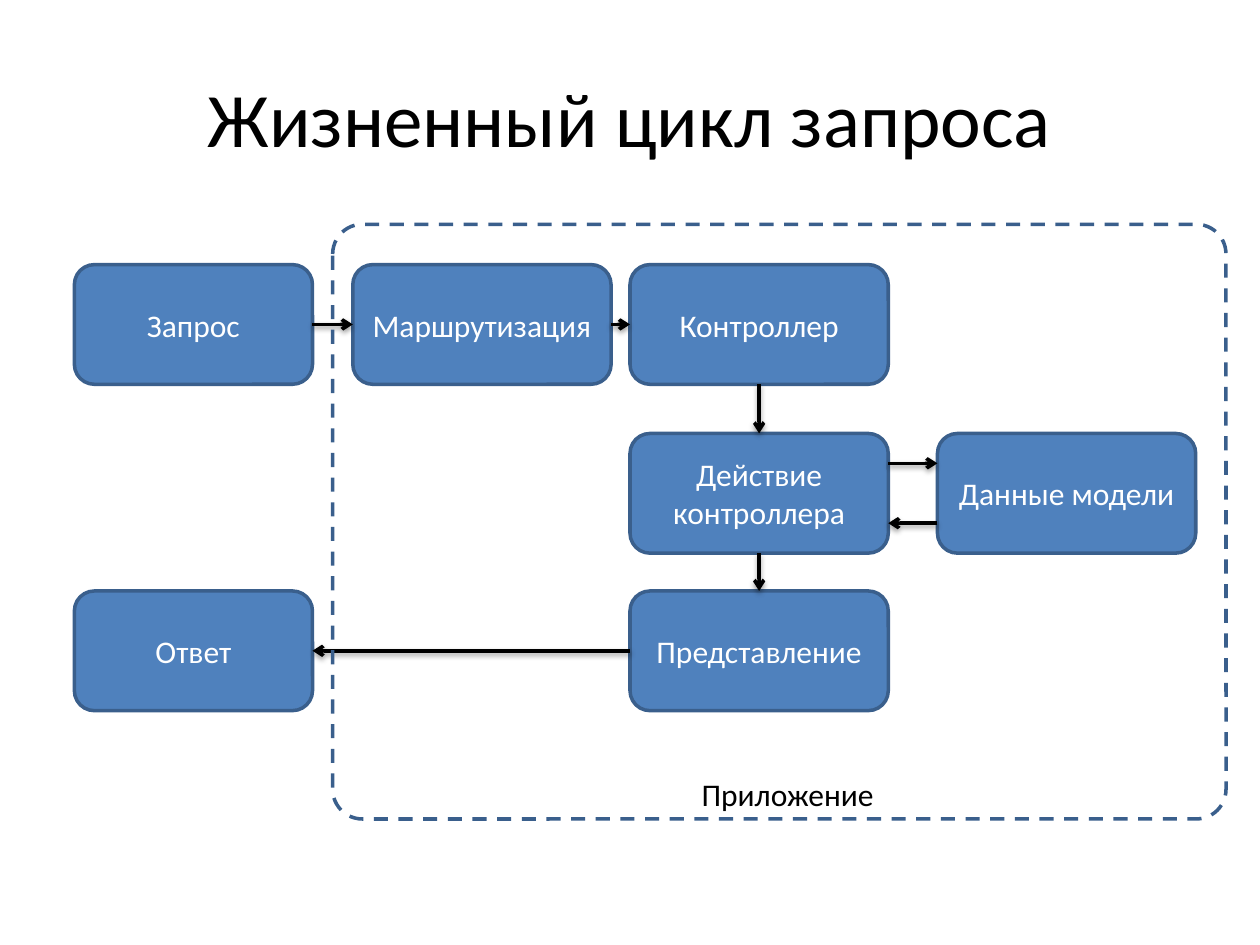
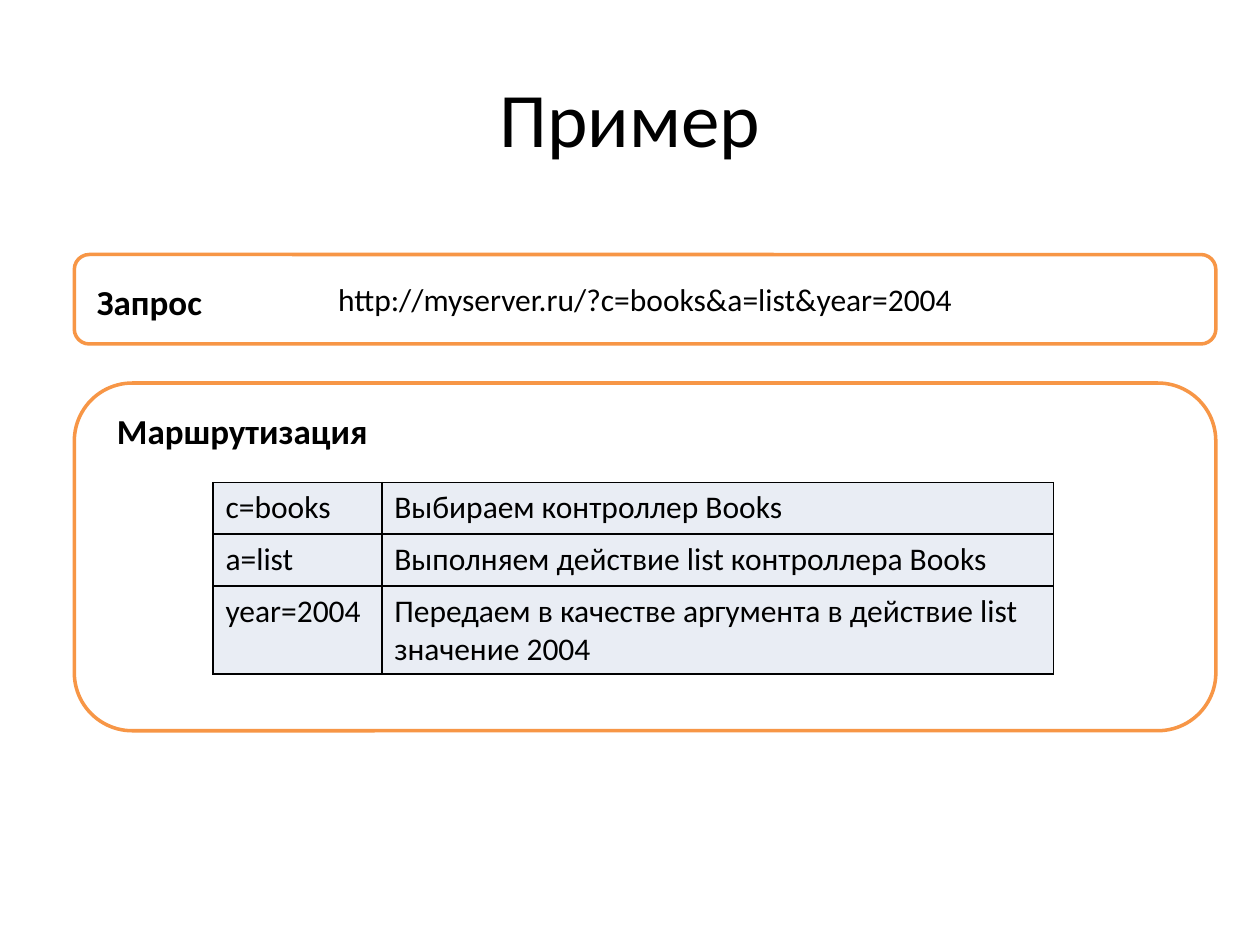
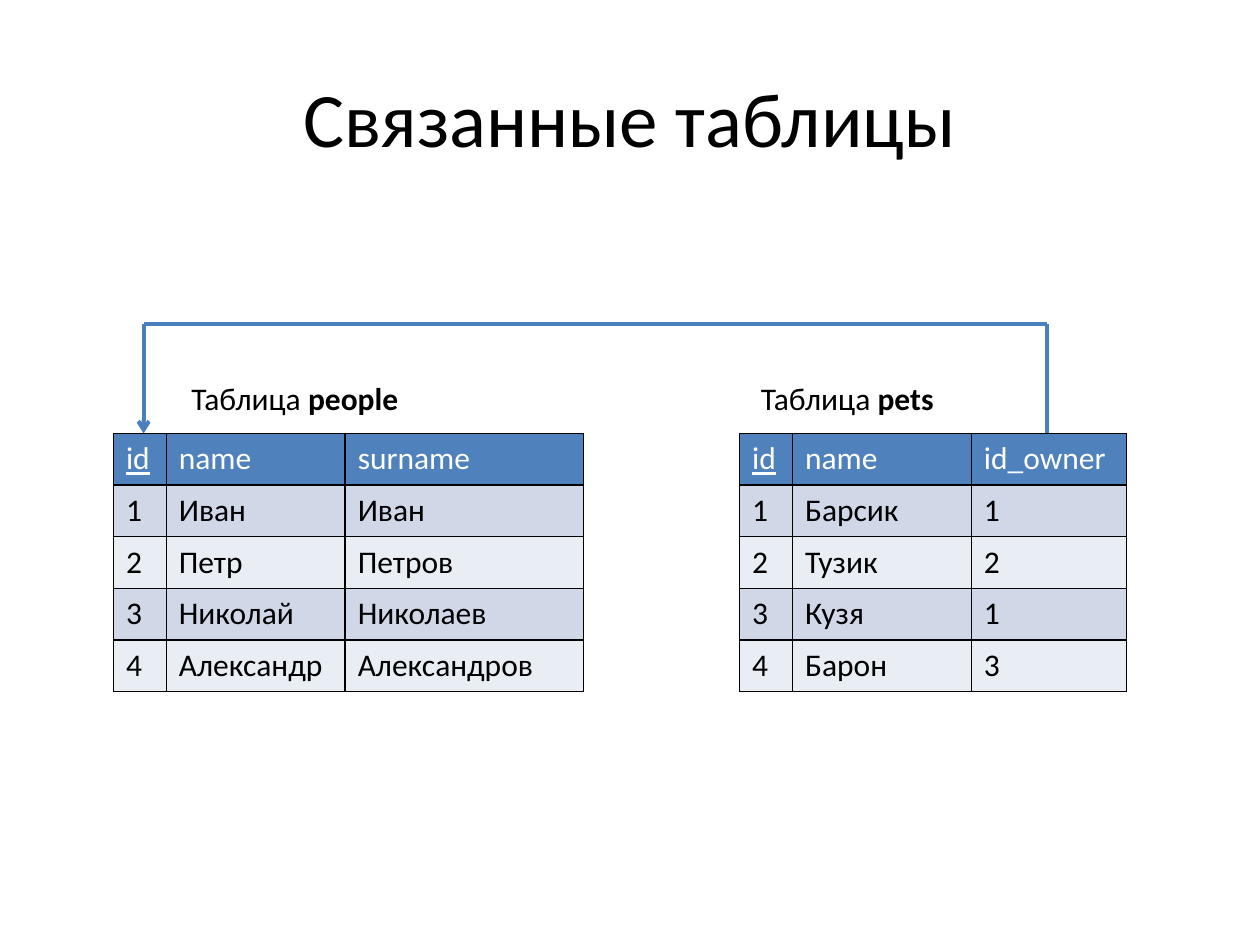
from dataclasses import dataclass
from lxml.etree import SubElement as Sub
from pptx import Presentation
from pptx.dml.color import RGBColor as Rgb
from pptx.enum.dml import MSO_LINE as Dash
from pptx.enum.shapes import MSO_CONNECTOR as Wire, MSO_SHAPE as Kind
from pptx.enum.text import MSO_ANCHOR as Anchor, PP_ALIGN as Align
from pptx.oxml.ns import qn
from pptx.util import Inches, Pt


@dataclass(frozen=True)
class Theme:
    """Colours, font and type sizes of the deck."""
    font: str = "Calibri"
    black: str = "000000"
    white: str = "FFFFFF"
    blue: str = "4F81BD"
    edge: str = "3A5F8C"
    wire: str = "4B7EBC"
    orange: str = "F79646"
    dark: str = "D0D8E8"
    light: str = "E9EDF4"
    title: int = 44
    head: int = 20
    body: int = 18
    stroke: int = 2


T = Theme()
WIDE, HIGH = 10, 7.5
COLS = ((0.59, 1.89), (2.8, 2.05), (5, 2.05), (7.44, 2.05))
ROWS = (2.1, 3.44, 4.69)
TALL = 0.95
LEFT, BAND = 0.59, 9.06
LINE = 0.41
TOP = 3.44
RAIL = 2.57


def area(*spans):
    """Turn a left, top, width and height in inches into lengths."""
    return [Inches(span) for span in spans]


def style(run, size=T.body, tint=T.black, bold=False, under=False):
    """Format one run."""
    font = run.font
    font.name, font.size, font.bold = T.font, Pt(size), bold
    font.underline = under
    font.color.rgb = Rgb.from_string(tint)


def write(frame, text, align=Align.LEFT, **look):
    """Set the text of a frame in one style."""
    frame.text = text
    para = frame.paragraphs[0]
    para.alignment = align
    for run in para.runs:
        style(run, **look)


def label(slide, spot, text, wrap=True, **look):
    """Add a text box and return its frame."""
    frame = slide.shapes.add_textbox(*area(*spot)).text_frame
    frame.word_wrap = wrap
    write(frame, text, **look)
    return frame


def page(deck, title):
    """Add a blank slide with a centred title."""
    slide = deck.slides.add_slide(deck.slide_layouts[6])
    side = WIDE * 0.05
    spot = (side, HIGH * 0.04, WIDE - 2 * side, 1.25)
    frame = label(slide, spot, title, size=T.title, align=Align.CENTER)
    frame.vertical_anchor = Anchor.MIDDLE
    return slide


def panel(slide, spot, edge, fill=None, text="", tint=T.black):
    """Add an outlined round box with optional fill and text."""
    shape = slide.shapes.add_shape(Kind.ROUNDED_RECTANGLE, *area(*spot))
    shape.shadow.inherit = False
    if fill:
        shape.fill.solid()
        shape.fill.fore_color.rgb = Rgb.from_string(fill)
    else:
        shape.fill.background()
    shape.line.color.rgb = Rgb.from_string(edge)
    shape.line.width = Pt(T.stroke)
    if text:
        shape.text_frame.vertical_anchor = Anchor.MIDDLE
        write(shape.text_frame, text, align=Align.CENTER, tint=tint)
    return shape


def step(slide, col, row, text):
    """Add one step of the flow in a grid cell."""
    left, width = COLS[col]
    spot = (left, ROWS[row], width, TALL)
    return panel(slide, spot, T.edge, T.blue, text, T.white)


def line(slide, start, end, tint, width, head=False, shade=False):
    """Draw a straight line with an optional arrowhead and shadow."""
    wire = slide.shapes.add_connector(Wire.STRAIGHT, *start, *end)
    wire.line.color.rgb = Rgb.from_string(tint)
    wire.line.width = Pt(width)
    props = wire._element.spPr
    if head:
        Sub(props.find(qn("a:ln")), qn("a:tailEnd"), type="arrow")
    glow = Sub(props, qn("a:effectLst"))
    if shade:
        cast = Sub(glow, qn("a:outerShdw"), blurRad=str(Pt(3.1)),
                   dist=str(Pt(1.6)), dir="5400000", rotWithShape="0")
        ink = Sub(cast, qn("a:srgbClr"), val=T.black)
        Sub(ink, qn("a:alpha"), val="38000")


def link(slide, one, two, share=0.5):
    """Join two steps by an arrow along their common row or column."""
    if one.top == two.top:
        level = one.top + int(one.height * share)
        ahead = one.left < two.left
        start = (one.left + one.width * ahead, level)
        end = (two.left + two.width * (not ahead), level)
    else:
        mid = one.left + one.width // 2
        start, end = (mid, one.top + one.height), (mid, two.top)
    line(slide, start, end, T.black, T.stroke, head=True, shade=True)


def border(cell):
    """Give a cell thin black borders."""
    props = cell._tc.get_or_add_tcPr()
    for side in "LRTB":
        edge = Sub(props, qn(f"a:ln{side}"), w=str(Pt(1)))
        Sub(Sub(edge, qn("a:solidFill")), qn("a:srgbClr"), val=T.black)


def grid(slide, left, top, cols, rows, fills, lines=None, header=False):
    """Add a bordered table with one fill per row."""
    lines = lines or [LINE] * len(rows)
    spot = area(left, top, sum(cols), sum(lines))
    table = slide.shapes.add_table(len(rows), len(cols), *spot).table
    table.first_row, table.horz_banding = header, False
    for col, width in zip(table.columns, cols):
        col.width = Inches(width)
    for r, (row, fill) in enumerate(zip(rows, fills)):
        table.rows[r].height = Inches(lines[r])
        top_row = header and r == 0
        for c, text in enumerate(row):
            cell = table.cell(r, c)
            border(cell)
            cell.fill.solid()
            cell.fill.fore_color.rgb = Rgb.from_string(fill)
            write(cell.text_frame, text, under=top_row and c == 0,
                  tint=T.white if top_row else T.black)


def records(slide, left, cols, rows, name, spot):
    """Add a captioned table of records with a header row."""
    fills = [T.blue] + [T.dark, T.light] * 2
    grid(slide, left, TOP, cols, rows, fills, header=True)
    frame = label(slide, spot, "Таблица ", wrap=False)
    run = frame.paragraphs[0].add_run()
    run.text = name
    style(run, bold=True)


def cycle(deck):
    """Build the request life cycle slide."""
    slide = page(deck, "Жизненный цикл запроса")
    ask = step(slide, 0, 0, "Запрос")
    route = step(slide, 1, 0, "Маршрутизация")
    ctrl = step(slide, 2, 0, "Контроллер")
    act = step(slide, 2, 1, "Действие контроллера")
    data = step(slide, 3, 1, "Данные модели")
    view = step(slide, 2, 2, "Представление")
    reply = step(slide, 0, 2, "Ответ")
    for pair in ((ask, route), (route, ctrl), (ctrl, act), (act, data, 0.25),
                 (data, act, 0.75), (act, view), (view, reply)):
        link(slide, *pair)
    app = panel(slide, (2.64, 1.78, 7.09, 4.72), T.edge)
    app.adjustments[0] = 0.05
    app.line.dash_style = Dash.DASH
    label(slide, (5.47, 6.1, 1.65, 0.4), "Приложение")


def sample(deck):
    """Build the routing example slide."""
    slide = page(deck, "Пример")
    panel(slide, (LEFT, 2.02, BAND, 0.71), T.orange, T.white,
          "http://myserver.ru/?c=books&a=list&year=2004")
    label(slide, (0.67, 2.18, 1.1, 0.44), "Запрос", size=T.head, bold=True)
    panel(slide, (LEFT, 3.04, BAND, 2.76), T.orange, T.white)
    label(slide, (0.83, 3.2, 3.23, 0.44), "Маршрутизация",
          size=T.head, bold=True)
    rows = (("c=books", "Выбираем контроллер Books"),
            ("a=list", "Выполняем действие list контроллера Books"),
            ("year=2004",
             "Передаем в качестве аргумента в действие list значение 2004"))
    grid(slide, 1.69, 3.83, (1.34, 5.33), rows, [T.light] * 3,
         (LINE, LINE, 0.69))


def tables(deck):
    """Build the linked tables slide."""
    slide = page(deck, "Связанные таблицы")
    people = (("id", "name", "surname"), ("1", "Иван", "Иван"),
              ("2", "Петр", "Петров"), ("3", "Николай", "Николаев"),
              ("4", "Александр", "Александров"))
    pets = (("id", "name", "id_owner"), ("1", "Барсик", "1"),
            ("2", "Тузик", "2"), ("3", "Кузя", "1"), ("4", "Барон", "3"))
    records(slide, 0.9, (0.42, 1.42, 1.89), people, "people",
            (1.42, 2.96, 1.85, 0.4))
    records(slide, 5.87, (0.42, 1.42, 1.23), pets, "pets",
            (5.94, 2.96, 1.59, 0.4))
    key, owner = 1.14, 8.31
    stops = [area(*stop) for stop in
             ((owner, TOP), (owner, RAIL), (key, RAIL), (key, TOP))]
    for start, end in zip(stops, stops[1:]):
        line(slide, start, end, T.wire, 2.25, head=end is stops[-1])


def main():
    """Build and save the deck."""
    deck = Presentation()
    deck.slide_width, deck.slide_height = Inches(WIDE), Inches(HIGH)
    for build in (cycle, sample, tables):
        build(deck)
    deck.save("out.pptx")


if __name__ == "__main__":
    main()
